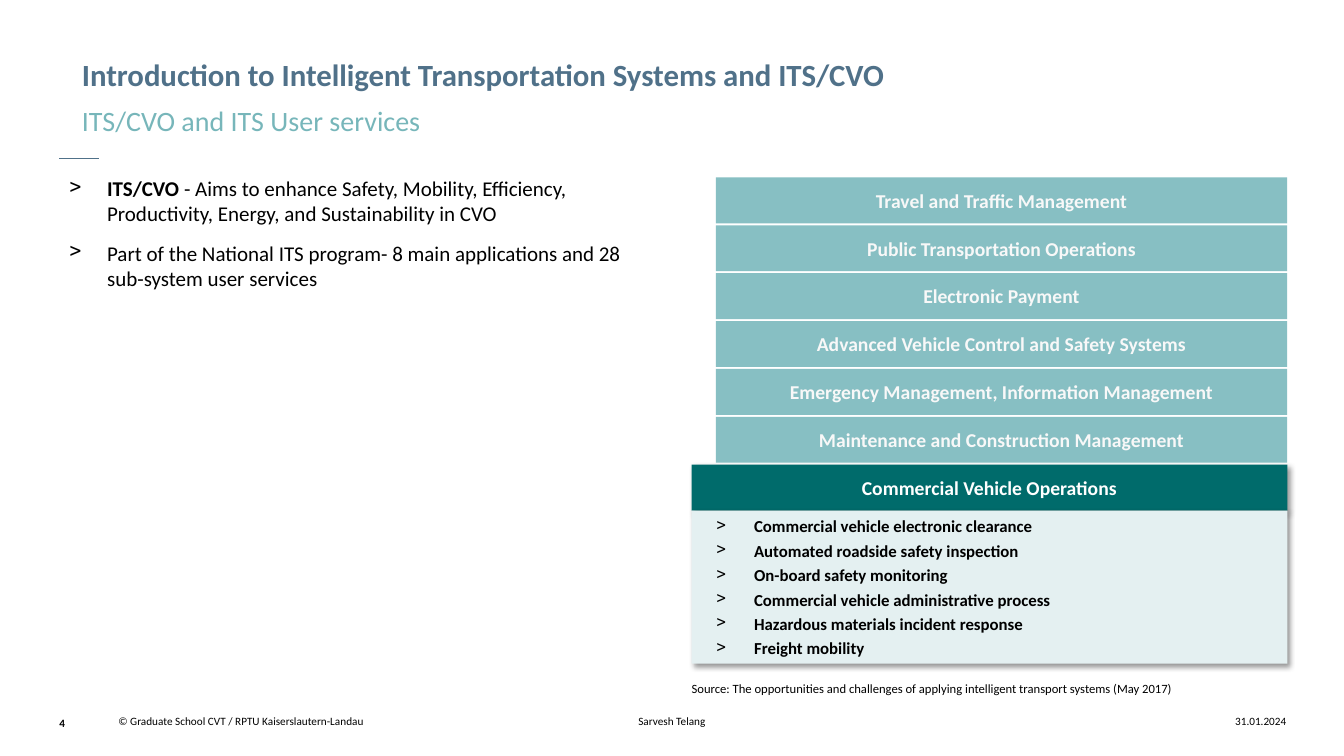
from lxml import etree
from pptx import Presentation
from pptx.dml.color import RGBColor
from pptx.enum.shapes import MSO_CONNECTOR, MSO_SHAPE
from pptx.enum.text import MSO_ANCHOR, PP_ALIGN
from pptx.oxml.ns import qn
from pptx.util import Pt

LEFT, CENTER, RIGHT = PP_ALIGN.LEFT, PP_ALIGN.CENTER, PP_ALIGN.RIGHT
TOP, MIDDLE = MSO_ANCHOR.TOP, MSO_ANCHOR.MIDDLE
RECT = MSO_SHAPE.RECTANGLE
STRAIGHT = MSO_CONNECTOR.STRAIGHT

BLACK, WHITE, OFF_WHITE = "000000", "FFFFFF", "F8F8F8"
SLATE, TEAL = "507189", "77B6BA"
BAR, BAR_ACTIVE, PANEL = "87BFC3", "006B6B", "E4F0F1"


def rgb(value):
    return RGBColor.from_string(value)


def set_all(target, values):
    for name, value in values.items():
        setattr(target, name, value)


def sub(parent, tag, **attrs):
    """Append a DrawingML child element."""
    return etree.SubElement(parent, qn("a:" + tag),
                            {k: str(v) for k, v in attrs.items()})


class SlideBuilder:
    font = "Calibri"

    def __init__(self, slide):
        self.slide = slide

    def put_text(self, sp, paragraphs, size, color=BLACK, bold=False, align=LEFT,
                 anchor=TOP, inset=0, indent=0, bullet=None, before=0, spacing=1.0):
        """Fill a shape; a paragraph is a string or a list of (text, bold) runs."""
        tf = sp.text_frame
        set_all(tf, dict(word_wrap=True, vertical_anchor=anchor,
                         margin_left=Pt(inset), margin_right=Pt(inset),
                         margin_top=Pt(inset), margin_bottom=Pt(inset)))
        for i, content in enumerate(paragraphs):
            p = tf.add_paragraph() if i else tf.paragraphs[0]
            set_all(p, dict(alignment=align, line_spacing=spacing,
                            space_before=Pt(before if i else 0)))
            pPr = p._p.get_or_add_pPr()
            if bullet:
                pPr.set("marL", str(Pt(36)))
                pPr.set("indent", str(Pt(-27)))
                sub(sub(pPr, "buClr"), "srgbClr", val=color)
                sub(pPr, "buChar", char=bullet)
            else:
                pPr.set("marL", str(Pt(indent)))
            runs = [(content, bold)] if isinstance(content, str) else content
            for text, is_bold in runs:
                r = p.add_run()
                r.text = text
                set_all(r.font, dict(name=self.font, size=Pt(size), bold=is_bold))
                r.font.color.rgb = rgb(color)

    def title(self, box, text, **style):
        sp = self.slide.shapes.title
        set_all(sp, dict(zip(("left", "top", "width", "height"), map(Pt, box))))
        self.put_text(sp, [text], **style)

    def text(self, box, paragraphs, **style):
        sp = self.slide.shapes.add_textbox(*map(Pt, box))
        self.put_text(sp, paragraphs, **style)

    def rect(self, box, fill, paragraphs, shadow=False, **style):
        sp = self.slide.shapes.add_shape(RECT, *map(Pt, box))
        sp.shadow.inherit = False
        sp.fill.solid()
        sp.fill.fore_color.rgb = rgb(fill)
        sp.line.fill.background()
        if shadow:
            effects = sp._element.spPr.find(qn("a:effectLst"))
            outer = sub(effects, "outerShdw", blurRad=Pt(4), dist=Pt(3),
                        dir=45 * 60000, algn="tl", rotWithShape=0)
            sub(sub(outer, "srgbClr", val=BLACK), "alpha", val=40000)
        self.put_text(sp, paragraphs, anchor=MIDDLE, inset=8.64, **style)

    def line(self, x1, y1, x2, y2, color, width):
        sp = self.slide.shapes.add_connector(STRAIGHT, *map(Pt, (x1, y1, x2, y2)))
        sp.line.color.rgb = rgb(color)
        sp.line.width = Pt(width)
        sub(sp._element.spPr, "effectLst")


def main():
    prs = Presentation()
    prs.slide_width, prs.slide_height = Pt(960), Pt(540)
    s = SlideBuilder(prs.slides.add_slide(prs.slide_layouts[5]))

    s.title((40.5, 42.5, 724, 32.4),
            "Introduction to Intelligent Transportation Systems and ITS/CVO",
            size=22, color=SLATE, bold=True, indent=18, spacing=0.9)
    s.text((40.5, 76.3, 703, 21), ["ITS/CVO and ITS User services"],
           size=20, color=TEAL, indent=18, spacing=0.9)
    s.line(42.5, 113, 70.5, 113, SLATE, 0.75)

    s.text((40.5, 125.5, 425.5, 371.5), [
        [("ITS/CVO ", True),
         ("- Aims to enhance Safety, Mobility, Efficiency, Productivity, "
          "Energy, and Sustainability in CVO", False)],
        "Part of the National ITS program- 8 main applications and 28 "
        "sub-system user services",
    ], size=15, bullet=">", before=10)

    right, wide, narrow = 919.5, 425.5, 408.2
    bar_top, bar_height, bar_step = 126.7, 32.8, 34.2
    services = [
        "Travel and Traffic Management",
        "Public Transportation Operations",
        "Electronic Payment",
        "Advanced Vehicle Control and Safety Systems",
        "Emergency Management, Information Management",
        "Maintenance and Construction Management",
    ]
    for i, service in enumerate(services):
        s.rect((right - narrow, bar_top + i * bar_step, narrow, bar_height),
               BAR, [service], size=14, color=OFF_WHITE, bold=True, align=CENTER)

    active_top = bar_top + len(services) * bar_step
    s.rect((right - wide, active_top, wide, bar_height), BAR_ACTIVE,
           ["Commercial Vehicle Operations"], shadow=True,
           size=14, color=WHITE, bold=True, align=CENTER)
    s.rect((right - wide, active_top + bar_height, wide, 109.4), PANEL, [
        "Commercial vehicle electronic clearance",
        "Automated roadside safety inspection",
        "On-board safety monitoring",
        "Commercial vehicle administrative process",
        "Hazardous materials incident response",
        "Freight mobility",
    ], shadow=True, size=12, bold=True, bullet=">", before=3)
    s.text((right - wide, 485.3, wide, 6.5),
           ["Source: The opportunities and challenges of applying intelligent "
            "transport systems (May 2017)"], size=9, spacing=1.1)

    footers = [
        (42.5, 28, "4", dict(bold=True, spacing=1.1)),
        (84.5, 203, "© Graduate School CVT / RPTU Kaiserslautern-Landau", {}),
        (350, 260, "Sarvesh Telang", dict(align=CENTER)),
        (813.9, 105, "31.01.2024", dict(align=RIGHT)),
    ]
    for left, width, text, style in footers:
        s.text((left, 510.5, width, 17.3), [text], size=8, **style)

    prs.save("out.pptx")


if __name__ == "__main__":
    main()
